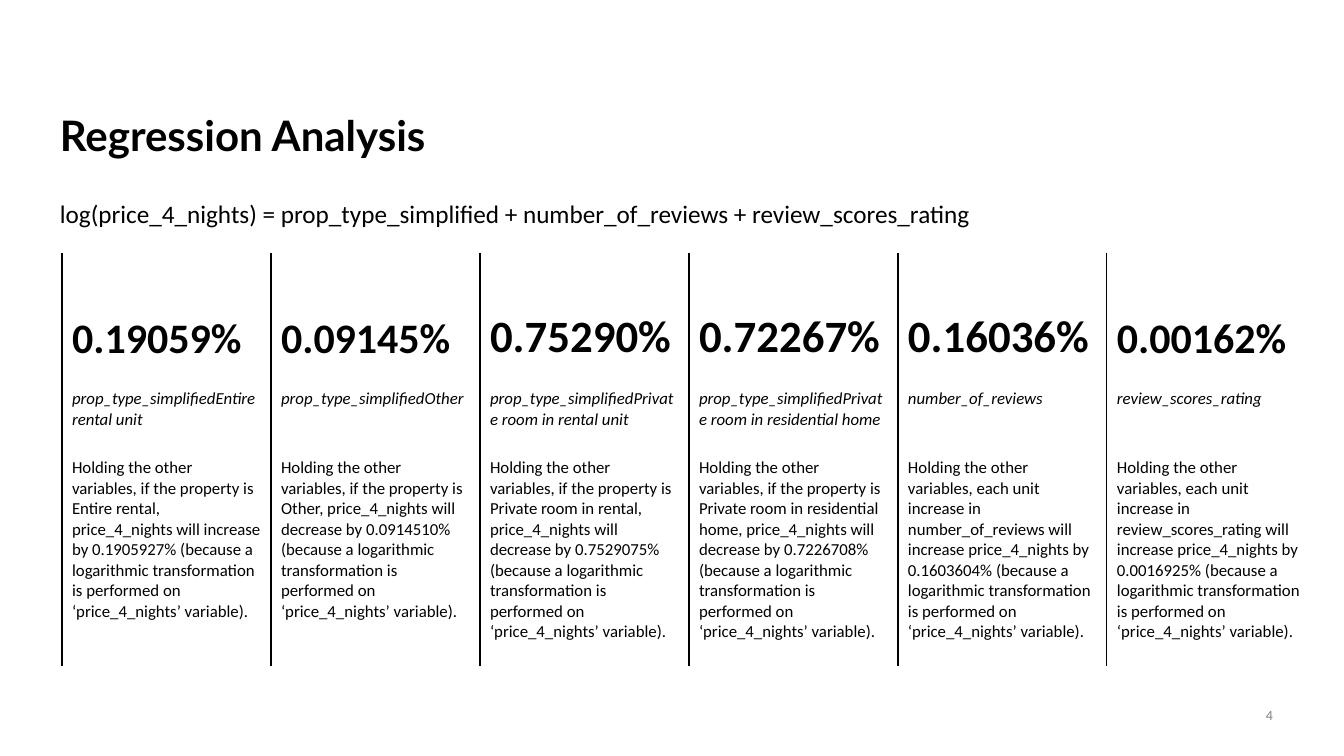
"""Build the regression analysis slide with its table of coefficients."""
from lxml import etree
from pptx import Presentation
from pptx.dml.color import RGBColor
from pptx.enum.text import MSO_ANCHOR as Anchor, PP_ALIGN as Align
from pptx.oxml.ns import qn
from pptx.util import Pt

TITLE = "Regression Analysis"
FORMULA = "log(price_4_nights) = prop_type_simplified + number_of_reviews + review_scores_rating"
PAGE_NUMBER = "4"
EXPLANATION = (
    "Holding the other variables, {change} by {exact} (because a logarithmic "
    "transformation is performed on ‘price_4_nights’ variable)."
)
COEFFICIENTS = [
    ("0.19059%", 30, "prop_type_simplifiedEntire rental unit",
     "if the property is Entire rental, price_4_nights will increase", "0.1905927%"),
    ("0.09145%", 30, "prop_type_simplifiedOther",
     "if the property is Other, price_4_nights will decrease", "0.0914510%"),
    ("0.75290%", 32, "prop_type_simplifiedPrivate room in rental unit",
     "if the property is Private room in rental, price_4_nights will decrease", "0.7529075%"),
    ("0.72267%", 32, "prop_type_simplifiedPrivate room in residential home",
     "if the property is Private room in residential home, price_4_nights will decrease",
     "0.7226708%"),
    ("0.16036%", 32, "number_of_reviews",
     "each unit increase in number_of_reviews will increase price_4_nights", "0.1603604%"),
    ("0.00162%", 30, "review_scores_rating",
     "each unit increase in review_scores_rating will increase price_4_nights", "0.0016925%"),
]

BLACK = RGBColor(0, 0, 0)
GRAY = RGBColor(128, 128, 128)
SLIDE_SIZE = (1344, 756)
TABLE_LEFT, TABLE_TOP = 62, 253
COLUMN_WIDTH = 209
ROW_HEIGHTS = (136, 64, 213)
CELL_INSETS = ((0, 0), (0, 5), (5, 5))


def px(length):
    return round(length * 914400 / 100.8)


def write(frame, text, line_spacing=None, align=None, **font_values):
    para = frame.paragraphs[0]
    if line_spacing:
        para.line_spacing = line_spacing
    if align is not None:
        para.alignment = align
    span = para.add_run()
    span.text = text
    values = {"name": "Calibri", "color": BLACK, **font_values}
    span.font.color.rgb = values.pop("color")
    for name, value in values.items():
        setattr(span.font, name, value)


def add_text(page, area, text, anchor=Anchor.TOP, inset=None, **format_values):
    frame = page.shapes.add_textbox(*map(px, area)).text_frame
    frame.word_wrap = True
    frame.vertical_anchor = anchor
    if inset is not None:
        for side in ("left", "right", "top", "bottom"):
            setattr(frame, f"margin_{side}", inset)
    write(frame, text, **format_values)


def set_borders(cell, visible):
    properties = cell._tc.get_or_add_tcPr()
    for index, side in enumerate("LRTB"):
        line = etree.Element(qn(f"a:ln{side}"), w=str(Pt(1)))
        if side in visible:
            fill = etree.SubElement(line, qn("a:solidFill"))
            etree.SubElement(fill, qn("a:srgbClr"), val=str(BLACK))
        else:
            etree.SubElement(line, qn("a:noFill"))
        properties.insert(index, line)


def add_coefficient_table(page):
    count = len(COEFFICIENTS)
    area = (TABLE_LEFT, TABLE_TOP, COLUMN_WIDTH * count, sum(ROW_HEIGHTS))
    table = page.shapes.add_table(len(ROW_HEIGHTS), count, *map(px, area)).table
    table.first_row = table.horz_banding = False
    for row, height in zip(table.rows, ROW_HEIGHTS):
        row.height = px(height)
    for column, (value, size, variable, change, exact) in enumerate(COEFFICIENTS):
        table.columns[column].width = px(COLUMN_WIDTH)
        entries = (
            (value, {"size": Pt(size), "bold": True, "line_spacing": Pt(80)}),
            (variable, {"size": Pt(12), "italic": True}),
            (EXPLANATION.format(change=change, exact=exact), {"size": Pt(12)}),
        )
        for row, (text, format_values) in enumerate(entries):
            cell = table.cell(row, column)
            cell.margin_top, cell.margin_bottom = map(px, CELL_INSETS[row])
            cell.fill.background()
            set_borders(cell, "LR" if column < count - 1 else "L")
            write(cell.text_frame, text, **format_values)


def main():
    deck = Presentation()
    deck.slide_width, deck.slide_height = map(px, SLIDE_SIZE)
    page = deck.slides.add_slide(deck.slide_layouts[6])
    add_text(page, (50, 17, 567, 242), TITLE, anchor=Anchor.MIDDLE, line_spacing=0.9,
             name="Lato", size=Pt(30), bold=True)
    add_coefficient_table(page)
    add_text(page, (50, 193, 1218, 40), FORMULA, size=Pt(18))
    add_text(page, (1231, 706, 42, 17), PAGE_NUMBER, anchor=Anchor.BOTTOM, inset=0,
             align=Align.RIGHT, size=Pt(10), color=GRAY)
    deck.save("out.pptx")


if __name__ == "__main__":
    main()
